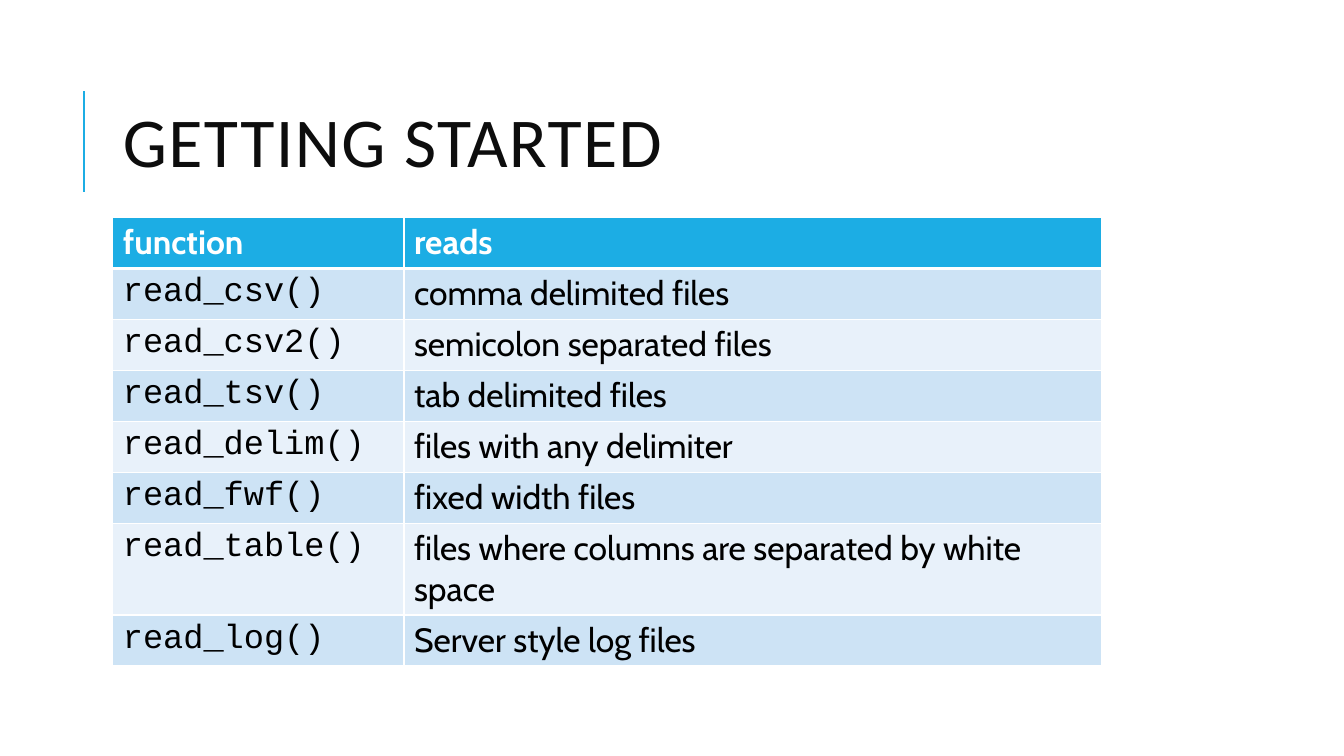
from dataclasses import dataclass

import lxml.etree
import pptx
import pptx.dml.color
import pptx.enum.shapes
import pptx.enum.text
import pptx.oxml.ns
import pptx.util

Pt = pptx.util.Pt
qn = pptx.oxml.ns.qn

COLORS = {
    "accent": "1CADE4",
    "title": "0D0D0D",
    "text": "000000",
    "white": "FFFFFF",
    "band_dark": "CDE3F5",
    "band_light": "E8F1FA",
}


@dataclass
class Reader:
    function: str
    reads: str


READERS = [
    Reader("read_csv()", "comma delimited files"),
    Reader("read_csv2()", "semicolon separated files"),
    Reader("read_tsv()", "tab delimited files"),
    Reader("read_delim()", "files with any delimiter"),
    Reader("read_fwf()", "fixed width files"),
    Reader("read_table()", "files where columns are separated by white space"),
    Reader("read_log()", "Server style log files"),
]


def rgb(name: str) -> pptx.dml.color.RGBColor:
    return pptx.dml.color.RGBColor.from_string(COLORS[name])


def write(tf, text: str, *, font: str = "Cabin", size: float = 24,
          color: str = "text", bold: bool = False,
          line_spacing: float = 1.0, spacing: float = 0) -> None:
    p = tf.paragraphs[0]
    p.alignment = pptx.enum.text.PP_ALIGN.LEFT
    p.line_spacing = line_spacing
    r = p.add_run()
    r.text = text
    r.font.name = font
    r.font.size = Pt(size)
    r.font.bold = bold
    r.font.color.rgb = rgb(color)
    if spacing:
        r.font._element.set("spc", str(round(spacing * 100)))


def set_borders(cell, top: float, bottom: float) -> None:
    tc_pr = cell._tc.get_or_add_tcPr()
    widths = {"lnL": 1, "lnR": 1, "lnT": top, "lnB": bottom}
    for i, (tag, width) in enumerate(widths.items()):
        ln = lxml.etree.Element(qn(f"a:{tag}"), w=str(Pt(width)))
        fill = lxml.etree.SubElement(ln, qn("a:solidFill"))
        lxml.etree.SubElement(fill, qn("a:srgbClr"), val=COLORS["white"])
        tc_pr.insert(i, ln)


def fill_row(table, row: int, entry: Reader) -> None:
    header = row == 0
    band = "accent" if header else ("band_light", "band_dark")[row % 2]
    for col, text in enumerate((entry.function, entry.reads)):
        cell = table.cell(row, col)
        cell.fill.solid()
        cell.fill.fore_color.rgb = rgb(band)
        set_borders(cell, top=3 if row == 1 else 1, bottom=3 if header else 1)
        write(cell.text_frame, text, bold=header,
              font="Cabin" if header or col else "Courier New",
              color="white" if header else "text")


def add_reader_table(slide) -> None:
    entries = [Reader("function", "reads"), *READERS]
    row_height = 29.5
    widths = (208, 498.3)
    table = slide.shapes.add_table(
        len(entries), len(widths), Pt(80.6), Pt(155.3),
        Pt(sum(widths)), Pt(row_height * len(entries))).table
    for column, width in zip(table.columns, widths):
        column.width = Pt(width)
    for row, entry in enumerate(entries):
        table.rows[row].height = Pt(row_height)
        fill_row(table, row, entry)


def add_accent_line(slide) -> None:
    line = slide.shapes.add_connector(
        pptx.enum.shapes.MSO_CONNECTOR.STRAIGHT,
        Pt(60), Pt(136.8), Pt(60), Pt(64.8))
    line.line.color.rgb = rgb("accent")
    line.line.width = Pt(1.5)
    lxml.etree.SubElement(line._element.spPr, qn("a:effectLst"))


def set_title(slide, text: str) -> None:
    sp = slide.shapes.title
    sp.left, sp.top, sp.width, sp.height = Pt(80.6), Pt(46), Pt(765.4), Pt(118)
    tf = sp.text_frame
    tf.auto_size = pptx.enum.text.MSO_AUTO_SIZE.NONE
    tf.vertical_anchor = pptx.enum.text.MSO_ANCHOR.MIDDLE
    write(tf, text, font="Calibri", size=50, color="title",
          line_spacing=0.8, spacing=1)


prs = pptx.Presentation()
prs.slide_width, prs.slide_height = Pt(960), Pt(540)
s = prs.slides.add_slide(prs.slide_layouts.get_by_name("Title Only"))
add_accent_line(s)
set_title(s, "GETTING STARTED")
add_reader_table(s)
prs.save("out.pptx")
